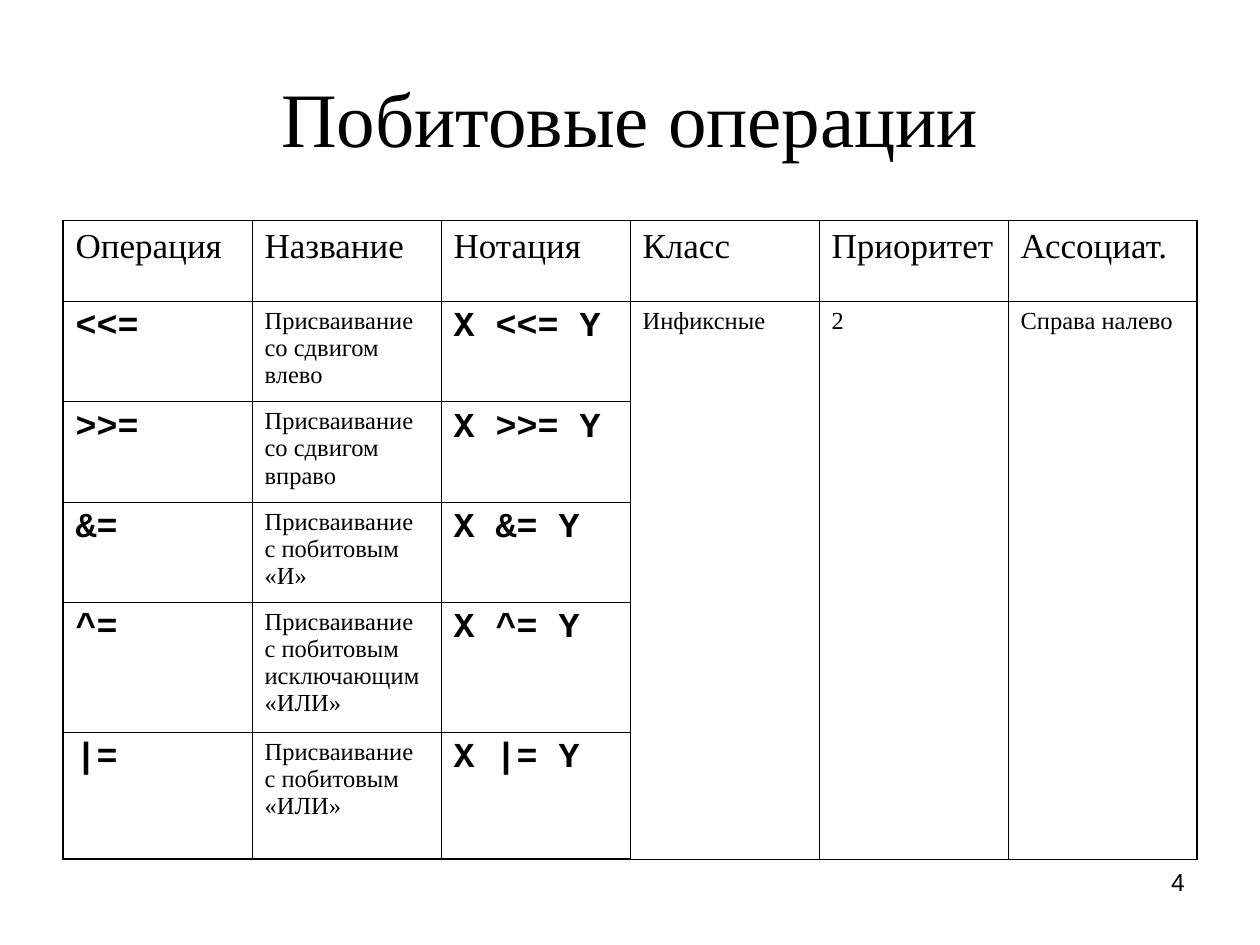
from lxml.etree import SubElement
from pptx import Presentation
from pptx.dml.color import RGBColor
from pptx.enum.text import MSO_ANCHOR as Anchor, PP_ALIGN as Align
from pptx.oxml.ns import qn
from pptx.util import Pt

BLACK = "000000"
SERIF, MONO, SANS = "Times New Roman", "Courier New", "Arial"
THIN, THICK = 0.45, 1.08


def write(frame, text, size, name, bold=False, align=Align.LEFT):
    para = frame.paragraphs[0]
    para.alignment = align
    span = para.add_run()
    span.text = text
    for key, value in {"size": Pt(size), "name": name, "bold": bold}.items():
        setattr(span.font, key, value)
    span.font.color.rgb = RGBColor.from_string(BLACK)


def draw_borders(cell, widths):
    """Add black cell borders; widths maps L, R, T and B to points."""
    properties = cell._tc.get_or_add_tcPr()
    for position, (side, width) in enumerate(widths.items()):
        line = SubElement(properties, qn(f"a:ln{side}"), w=str(Pt(width)))
        fill = SubElement(line, qn("a:solidFill"))
        SubElement(fill, qn("a:srgbClr"), val=BLACK)
        properties.insert(position, line)


deck = Presentation()
deck.slide_width, deck.slide_height = Pt(720), Pt(540)
page = deck.slides.add_slide(deck.slide_layouts[5])

title = page.shapes.title
title.left, title.top, title.width, title.height = Pt(36), Pt(21.6), Pt(648), Pt(90)
title.text_frame.vertical_anchor = Anchor.MIDDLE
write(title.text_frame, "Побитовые операции", 44, SERIF, align=Align.CENTER)

headers = ["Операция", "Название", "Нотация", "Класс", "Приоритет", "Ассоциат."]
operations = [
    ("<<=", "Присваивание со сдвигом влево"),
    (">>=", "Присваивание со сдвигом вправо"),
    ("&=", "Присваивание с побитовым «И»"),
    ("^=", "Присваивание с побитовым исключающим «ИЛИ»"),
    ("|=", "Присваивание с побитовым «ИЛИ»"),
]
shared = ["Инфиксные", "2", "Справа налево"]
row_heights = [46.2, 57.4, 57.4, 57.4, 74, 72.6]
last_row, last_col = len(operations), len(headers) - 1

table = page.shapes.add_table(
    last_row + 1, last_col + 1, Pt(36), Pt(126), Pt(648), Pt(sum(row_heights))
).table
table.first_row = table.horz_banding = False
for column in table.columns:
    column.width = Pt(108)
for row, height in zip(table.rows, row_heights):
    row.height = Pt(height)

for row in range(last_row + 1):
    for col in range(last_col + 1):
        cell = table.cell(row, col)
        cell.fill.background()
        draw_borders(cell, {
            "L": THICK if col == 0 else THIN,
            "R": THICK if col == last_col else THIN,
            "T": THICK if row == 0 else THIN,
            "B": THICK if row == last_row else THIN,
        })

for col, header in enumerate(headers):
    write(table.cell(0, col).text_frame, header, 20, SERIF)
for row, (sign, meaning) in enumerate(operations, 1):
    write(table.cell(row, 0).text_frame, sign, 20, MONO, bold=True)
    write(table.cell(row, 1).text_frame, meaning, 14, SERIF)
    write(table.cell(row, 2).text_frame, f"X {sign} Y", 20, MONO, bold=True)
for col, value in enumerate(shared, 3):
    table.cell(1, col).merge(table.cell(last_row, col))
    write(table.cell(1, col).text_frame, value, 14, SERIF)

number = page.shapes.add_textbox(Pt(516), Pt(492), Pt(168), Pt(37.5))
number.text_frame.word_wrap = True
write(number.text_frame, "4", 14, SANS, align=Align.RIGHT)

deck.save("out.pptx")
